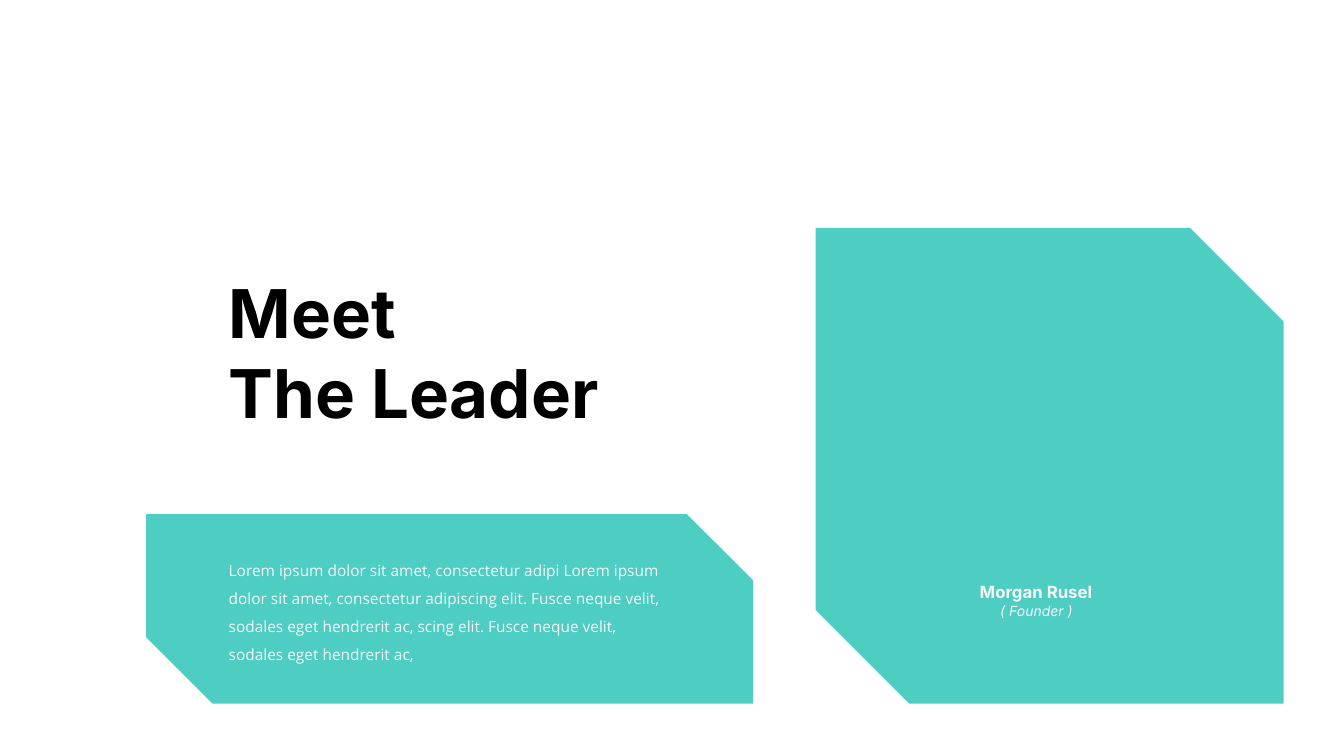
import pptx
import pptx.dml.color
import pptx.enum.shapes
import pptx.enum.text
import pptx.util

EMU_PER_PX = 9144
COLOURS = {"teal": "4ECDC3", "pale": "F5F7FA", "black": "000000"}
SHAPES = pptx.enum.shapes.MSO_SHAPE
ALIGN = pptx.enum.text.PP_ALIGN


def px(*lengths):
    return [pptx.util.Emu(length * EMU_PER_PX) for length in lengths]


def colour(name):
    return pptx.dml.color.RGBColor.from_string(COLOURS[name])


def add_panel(slide, kind, box, adjustments):
    shape = slide.shapes.add_shape(kind, *px(*box))
    shape.shadow.inherit = False
    shape.fill.solid()
    shape.fill.fore_color.rgb = colour("teal")
    shape.line.fill.background()
    for index, value in enumerate(adjustments):
        shape.adjustments[index] = value


def add_text(slide, box, lines, colour_name, font_format, paragraph_format):
    frame = slide.shapes.add_textbox(*px(*box)).text_frame
    frame.word_wrap = True
    frame.auto_size = pptx.enum.text.MSO_AUTO_SIZE.SHAPE_TO_FIT_TEXT
    frame.text = "\n".join(lines)
    for paragraph in frame.paragraphs:
        for name, value in paragraph_format.items():
            setattr(paragraph, name, value)
        for run in paragraph.runs:
            run.font.color.rgb = colour(colour_name)
            for name, value in font_format.items():
                setattr(run.font, name, value)


def main():
    presentation = pptx.Presentation()
    presentation.slide_width, presentation.slide_height = px(1333, 750)
    slide = presentation.slides.add_slide(presentation.slide_layouts[6])

    add_panel(slide, SHAPES.SNIP_2_DIAG_RECTANGLE, (809, 226, 464, 472), (0, 0.2))
    add_panel(slide, SHAPES.ROUNDED_RECTANGLE, (935, 567, 185, 60), (0.5,))
    centred = {"alignment": ALIGN.CENTER}
    add_text(slide, (935, 572, 185, 30), ["Morgan Rusel"], "pale",
             {"name": "Inter", "size": pptx.util.Pt(12), "bold": True}, centred)
    add_text(slide, (980, 593, 96, 27), ["( Founder )"], "pale",
             {"name": "Inter", "size": pptx.util.Pt(10), "italic": True}, centred)

    add_text(slide, (217, 264, 503, 172), ["Meet", "The Leader"], "black",
             {"name": "Inter", "size": pptx.util.Pt(48), "bold": True}, {})
    add_panel(slide, SHAPES.SNIP_2_DIAG_RECTANGLE, (145, 510, 602, 188), (0, 0.35))
    introduction = (
        "Lorem ipsum dolor sit amet, consectetur adipi Lorem ipsum dolor sit amet, "
        "consectetur adipiscing elit. Fusce neque velit, sodales eget hendrerit ac, "
        "scing elit. Fusce neque velit, sodales eget hendrerit ac,"
    )
    add_text(slide, (217, 543, 458, 118), [introduction], "pale",
             {"name": "Open Sans", "size": pptx.util.Pt(11)}, {"line_spacing": 1.5})

    presentation.save("out.pptx")


if __name__ == "__main__":
    main()
